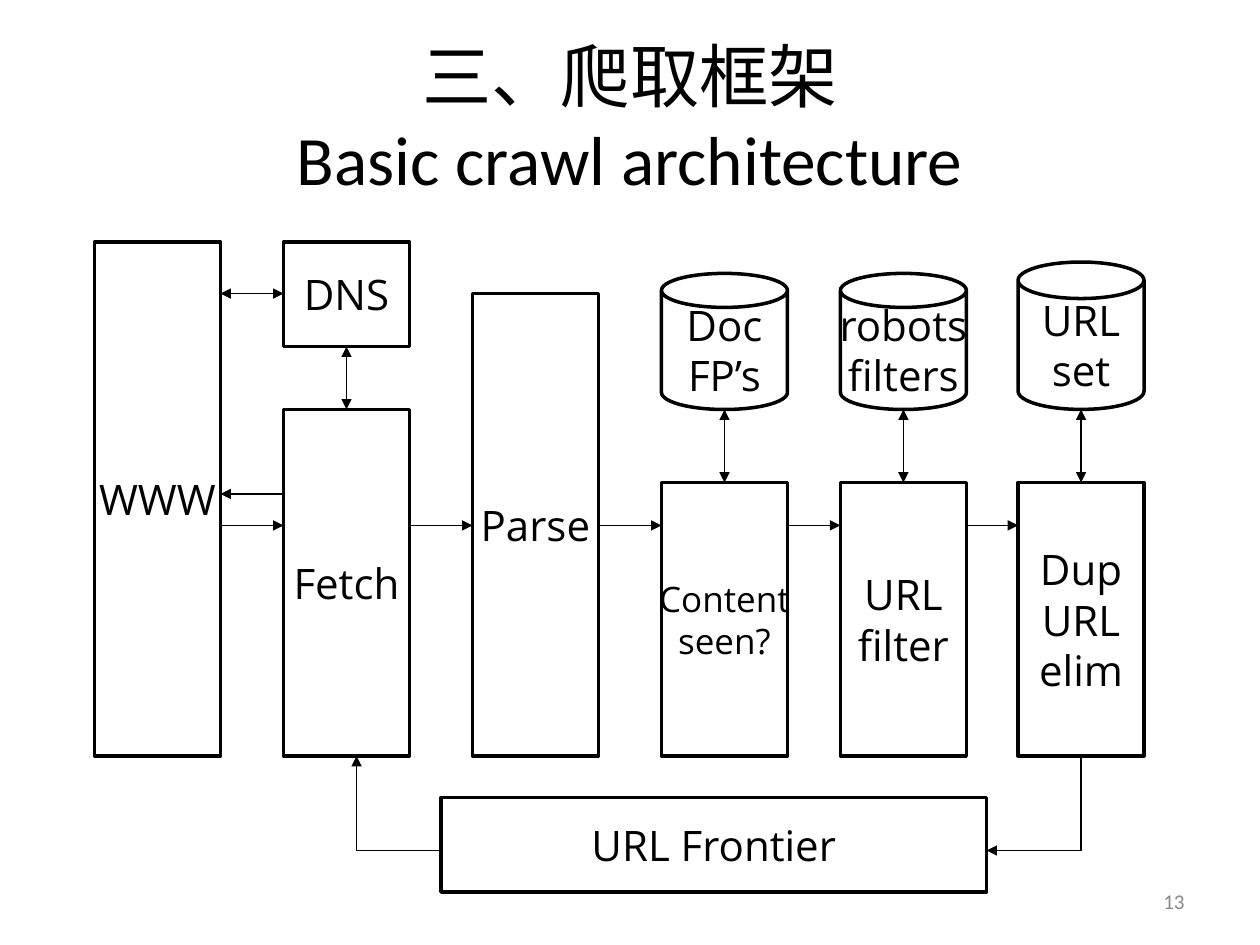
import pptx
from pptx.dml.color import RGBColor
from pptx.enum.shapes import MSO_CONNECTOR, MSO_SHAPE
from pptx.enum.text import MSO_ANCHOR, MSO_AUTO_SIZE, PP_ALIGN
from pptx.oxml.ns import qn
from pptx.util import Inches, Pt

BLACK = RGBColor(0x00, 0x00, 0x00)
GREY = RGBColor(0x89, 0x89, 0x89)
TITLE_FONT, LABEL_FONT = "Calibri", "Open Sans"

TITLE = ["三、爬取框架", "Basic crawl architecture"]
PAGE = "13"

# Column lefts; every column is one inch wide
WWW, FETCH, PARSE, CONTENT, FILTER, DUP = 0.75, 2.25, 3.75, 5.25, 6.67, 8.08
COL_W = 1
BOTTOM = 6        # foot of the tall boxes
STORE_FOOT = 3.25  # foot of the cylinders
CHECK_TOP = 3.83  # top of the boxes below them
FLOW_Y = 4.17     # main left-to-right flow
LOOP_Y = 6.75     # return through the frontier
FRONTIER_L, FRONTIER_R = 3.5, 7.83
FETCH_IN = 2.83

# lines of text, left, top, right, bottom, text size
BOXES = [
    (["WWW"], WWW, 1.92, WWW + COL_W, BOTTOM, 24),
    (["DNS"], FETCH, 1.92, FETCH + COL_W, 2.75, 24),
    (["Fetch"], FETCH, STORE_FOOT, FETCH + COL_W, BOTTOM, 24),
    (["Parse"], PARSE, 2.33, PARSE + COL_W, BOTTOM, 24),
    (["Content", "seen?"], CONTENT, CHECK_TOP, CONTENT + COL_W, BOTTOM, 20),
    (["URL", "filter"], FILTER, CHECK_TOP, FILTER + COL_W, BOTTOM, 24),
    (["Dup", "URL", "elim"], DUP, CHECK_TOP, DUP + COL_W, BOTTOM, 24),
    (["URL Frontier"], FRONTIER_L, 6.33, FRONTIER_R, 7.08, 24),
]

# lines of text, left, top, lid adjustment
STORES = [
    (["Doc", "FP’s"], CONTENT, 2.17, 0.27),
    (["robots", "filters"], FILTER, 2.17, 0.27),
    (["URL", "set"], DUP, 2.08, 0.29),
]

# x1, y1, x2, y2, ends that carry an arrowhead
LINKS = [
    (FETCH, 2.33, WWW + COL_W, 2.33, ("headEnd", "tailEnd")),
    (FETCH + COL_W / 2, 2.75, FETCH + COL_W / 2, 3.25, ("headEnd", "tailEnd")),
    (FETCH, 3.92, WWW + COL_W, 3.92, ("tailEnd",)),
    (DUP + COL_W / 2, LOOP_Y, FRONTIER_R, LOOP_Y, ("tailEnd",)),
    (DUP + COL_W / 2, LOOP_Y, DUP + COL_W / 2, BOTTOM, ()),
    (FRONTIER_L, LOOP_Y, FETCH_IN, LOOP_Y, ()),
    (FETCH_IN, LOOP_Y, FETCH_IN, BOTTOM, ("tailEnd",)),
]
COLUMNS = [WWW, FETCH, PARSE, CONTENT, FILTER, DUP]
LINKS += [(a + COL_W, FLOW_Y, b, FLOW_Y, ("tailEnd",))
          for a, b in zip(COLUMNS, COLUMNS[1:])]
LINKS += [(x + COL_W / 2, STORE_FOOT, x + COL_W / 2, CHECK_TOP, ("headEnd", "tailEnd"))
          for _, x, _, _ in STORES]


def add_run(p, text, font, size, color):
    r = p.add_run()
    r.text = text
    r.font.name, r.font.size, r.font.color.rgb = font, Pt(size), color


def add_node(s, kind, lines, left, top, right, bottom, size=24):
    sp = s.shapes.add_shape(kind, Inches(left), Inches(top),
                            Inches(right - left), Inches(bottom - top))
    sp.shadow.inherit = False
    sp.fill.background()
    sp.line.color.rgb, sp.line.width = BLACK, Pt(2)
    tf = sp.text_frame
    tf.word_wrap = False
    tf.vertical_anchor = MSO_ANCHOR.MIDDLE
    for i, line in enumerate(lines):
        p = tf.add_paragraph() if i else tf.paragraphs[0]
        p.alignment = PP_ALIGN.CENTER
        add_run(p, line, LABEL_FONT, size, BLACK)
    return sp


def add_link(s, x1, y1, x2, y2, arrow_ends):
    c = s.shapes.add_connector(MSO_CONNECTOR.STRAIGHT, Inches(x1), Inches(y1),
                               Inches(x2), Inches(y2))
    c.line.color.rgb, c.line.width = BLACK, Pt(0.75)
    ln = c.line._get_or_add_ln()
    for end in arrow_ends:
        ln.append(ln.makeelement(qn("a:" + end), {"type": "triangle"}))
    sp_pr = ln.getparent()
    sp_pr.append(sp_pr.makeelement(qn("a:effectLst"), {}))


def add_title(s):
    sp = s.shapes.title
    sp.left, sp.top, sp.width, sp.height = map(Inches, (0.5, 0.3, 9, 1.25))
    tf = sp.text_frame
    tf.auto_size = MSO_AUTO_SIZE.NONE
    tf.vertical_anchor = MSO_ANCHOR.MIDDLE
    p = tf.paragraphs[0]
    p.alignment = PP_ALIGN.CENTER
    for i, line in enumerate(TITLE):
        if i:
            p.add_line_break()
        add_run(p, line, TITLE_FONT, 39.6, BLACK)


def add_page_number(s):
    sp = s.shapes.add_textbox(Inches(7.17), Inches(6.95), Inches(2.33), Inches(0.4))
    tf = sp.text_frame
    tf.word_wrap = True
    tf.vertical_anchor = MSO_ANCHOR.MIDDLE
    p = tf.paragraphs[0]
    p.alignment = PP_ALIGN.RIGHT
    add_run(p, PAGE, TITLE_FONT, 12, GREY)


def main():
    prs = pptx.Presentation()
    prs.slide_width, prs.slide_height = Inches(10), Inches(7.5)
    s = prs.slides.add_slide(prs.slide_layouts[5])
    add_title(s)
    for box in BOXES:
        add_node(s, MSO_SHAPE.RECTANGLE, *box)
    for lines, left, top, lid in STORES:
        sp = add_node(s, MSO_SHAPE.CAN, lines, left, top, left + COL_W, STORE_FOOT)
        sp.adjustments[0] = lid
    for link in LINKS:
        add_link(s, *link)
    add_page_number(s)
    prs.save("out.pptx")


if __name__ == "__main__":
    main()
